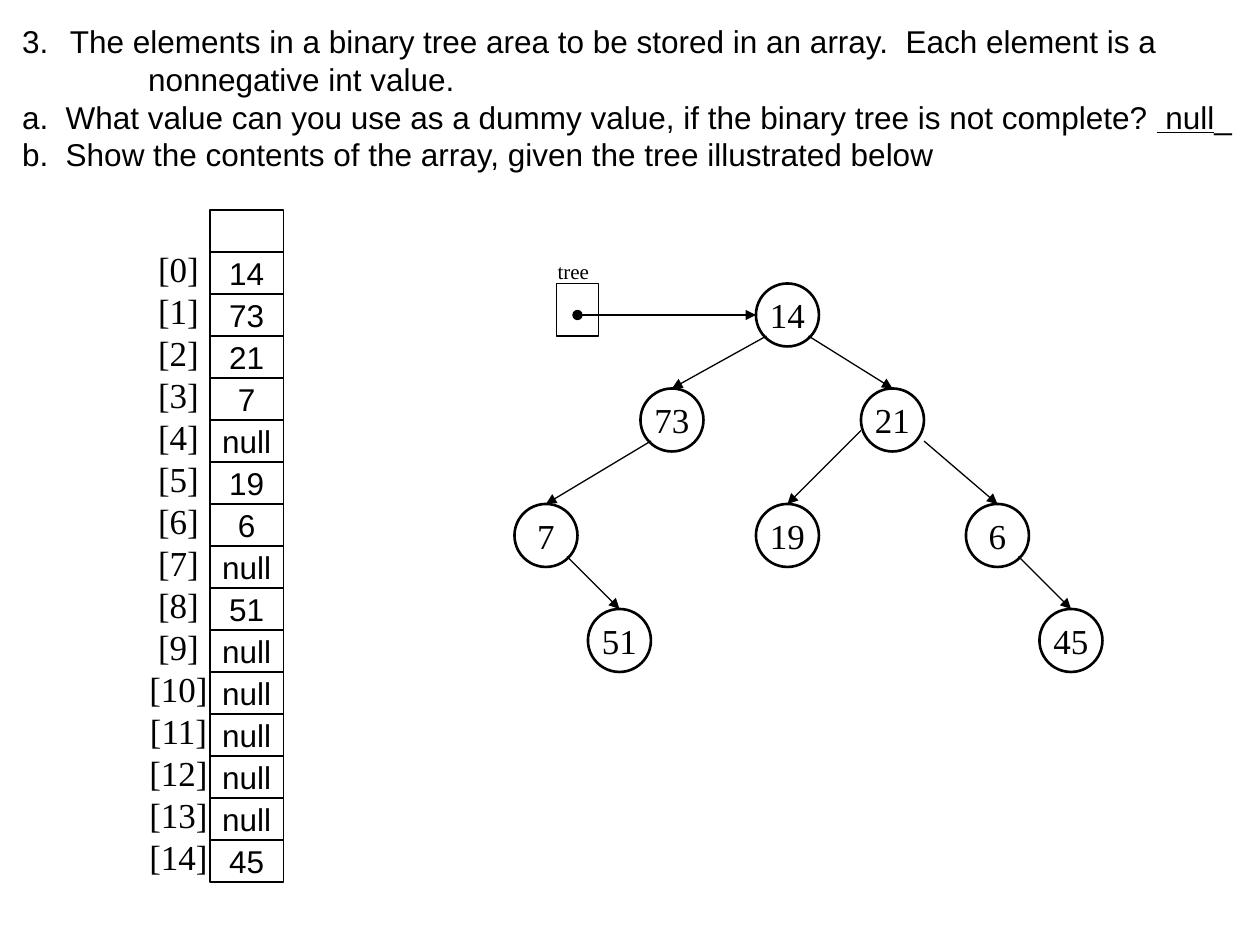
from dataclasses import dataclass

from pptx import Presentation
from pptx import util as u
from pptx.dml.color import RGBColor
from pptx.enum import shapes, text
from pptx.oxml.ns import qn
from lxml import etree


@dataclass(frozen=True)
class Theme:
    ink: RGBColor = RGBColor(0, 0, 0)
    sans: str = "Arial"
    serif: str = "Times New Roman"
    question: int = 18
    label: int = 20
    caption: int = 12
    thin: float = 0.75
    thick: float = 1.5
    inset: float = 0.05


THEME = Theme()
COLUMNS, ROWS = 120, 90
WIDTH, HEIGHT = u.Inches(10), u.Inches(7.5)

VALUES = ["14", "73", "21", "7", "null", "19", "6", "null", "51",
          "null", "null", "null", "null", "null", "45"]

NODES = {"14": (23, 3), "73": (12, 13), "21": (33, 13), "7": (0, 24),
         "19": (23, 24), "6": (43, 24), "51": (7, 34), "45": (50, 34)}
NODE_SIZE = 6
BRANCHES = [("14", "73", 1, 5), ("14", "21", 5, 5), ("73", "7", 1, 5),
            ("21", "19", 0, 4), ("7", "51", 5, 5), ("21", "6", 6, 5),
            ("6", "45", 5, 5)]


@dataclass(frozen=True)
class Box:
    left: float
    top: float
    width: float
    height: float

    def inner(self, column, row, width, height):
        return Box(self.left + column, self.top + row, width, height)

    def point(self, column, row):
        return (round(WIDTH * (self.left + column) / COLUMNS),
                round(HEIGHT * (self.top + row) / ROWS))

    def place(self):
        left, top = self.point(0, 0)
        right, bottom = self.point(self.width, self.height)
        return left, top, right - left, bottom - top


def write(holder, lines, font, size, align=text.PP_ALIGN.LEFT,
          anchor=text.MSO_ANCHOR.MIDDLE, spacing=None, inset=THEME.inset):
    frame = holder.text_frame
    frame.word_wrap = False
    frame.vertical_anchor = anchor
    for side in ("left", "top", "right", "bottom"):
        setattr(frame, f"margin_{side}", u.Inches(inset))
    for number, line in enumerate(lines):
        paragraph = frame.add_paragraph() if number else frame.paragraphs[0]
        paragraph.alignment = align
        if spacing:
            paragraph.line_spacing = u.Pt(spacing)
        for words, underline in ([(line, False)] if isinstance(line, str) else line):
            run = paragraph.add_run()
            run.text = words
            run.font.name = font
            run.font.size = u.Pt(size)
            run.font.color.rgb = THEME.ink
            if underline:
                run.font.underline = True
    return frame


def write_at(slide, box, lines, font, size, **options):
    return write(slide.shapes.add_textbox(*box.place()), lines, font, size, **options)


def outline(slide, preset, box, weight):
    shape = slide.shapes.add_shape(preset, *box.place())
    shape.shadow.inherit = False
    shape.fill.background()
    shape.line.color.rgb = THEME.ink
    shape.line.width = u.Pt(weight)
    return shape


def rule(slide, start, end, head=None, tail=None):
    line = slide.shapes.add_connector(shapes.MSO_CONNECTOR.STRAIGHT, *start, *end)
    line.line.color.rgb = THEME.ink
    line.line.width = u.Pt(THEME.thin)
    properties = line._element.spPr
    stroke = properties.find(qn("a:ln"))
    for tag, ending in (("a:headEnd", head), ("a:tailEnd", tail)):
        if ending:
            etree.SubElement(stroke, qn(tag), type=ending)
    etree.SubElement(properties, qn("a:effectLst"))
    return line


def add_question(slide, box):
    frame = write_at(slide, box, [
        "The elements in a binary tree area to be stored in an array.  Each element is a",
        "nonnegative int value.",
        [("a.  What value can you use as a dummy value, if the binary tree is not complete? ", False),
         (" null", True), ("_", False)],
        "b.  Show the contents of the array, given the tree illustrated below",
    ], THEME.sans, THEME.question, anchor=text.MSO_ANCHOR.TOP)
    for paragraph, indent in zip(frame.paragraphs, (-0.38, 0.62, -0.38, -0.38)):
        properties = paragraph._p.get_or_add_pPr()
        properties.set("marL", str(u.Inches(0.38)))
        properties.set("indent", str(u.Inches(indent)))
    frame.paragraphs[1].level = 1
    etree.SubElement(frame.paragraphs[0]._p.pPr, qn("a:buAutoNum"),
                     type="arabicPeriod", startAt="3")


def add_array(slide, box):
    outline(slide, shapes.MSO_SHAPE.RECTANGLE, box, THEME.thin)
    cell = box.height / (len(VALUES) + 1)
    write_at(slide, box.inner(-6.5, 3, box.width, box.height - 5.5),
             [f"[{index}]" for index in range(len(VALUES))],
             THEME.serif, THEME.label, align=text.PP_ALIGN.CENTER,
             anchor=text.MSO_ANCHOR.TOP, spacing=24)
    for row, value in enumerate(VALUES, 1):
        rule(slide, box.point(0, row * cell), box.point(box.width, row * cell))
        write_at(slide, box.inner(0, row * cell, box.width, cell), [value],
                 THEME.sans, THEME.question, align=text.PP_ALIGN.CENTER, inset=0)


def add_tree(slide, box):
    circles = {}
    for value, (column, row) in NODES.items():
        circles[value] = outline(slide, shapes.MSO_SHAPE.OVAL,
                                 box.inner(column, row, NODE_SIZE, NODE_SIZE), THEME.thick)
        write(circles[value], [value], THEME.serif, THEME.label,
              align=text.PP_ALIGN.CENTER, inset=0)
    for parent, child, across, down in BRANCHES:
        column, row = NODES[parent]
        child_column, child_row = NODES[child]
        branch = rule(slide, box.point(column + across, row + down),
                      box.point(child_column + NODE_SIZE / 2, child_row), tail="triangle")
        branch.end_connect(circles[child], 0)
    root_column, root_row = NODES["14"]
    outline(slide, shapes.MSO_SHAPE.RECTANGLE, box.inner(4, root_row, 4, 5), THEME.thin)
    middle = root_row + NODE_SIZE / 2
    rule(slide, box.point(6, middle), box.point(root_column, middle),
         head="oval", tail="triangle")
    write_at(slide, box.inner(3.5, 0, 4.5, 3.5), ["tree"], THEME.serif, THEME.caption,
             anchor=text.MSO_ANCHOR.TOP)


def main():
    deck = Presentation()
    deck.slide_width, deck.slide_height = WIDTH, HEIGHT
    slide = deck.slides.add_slide(deck.slide_layouts[6])
    add_question(slide, Box(1.5, 1.5, 116.6, 15))
    add_tree(slide, Box(49, 24, 56, 40))
    add_array(slide, Box(20, 20, 7, 64))
    deck.save("out.pptx")


if __name__ == "__main__":
    main()
